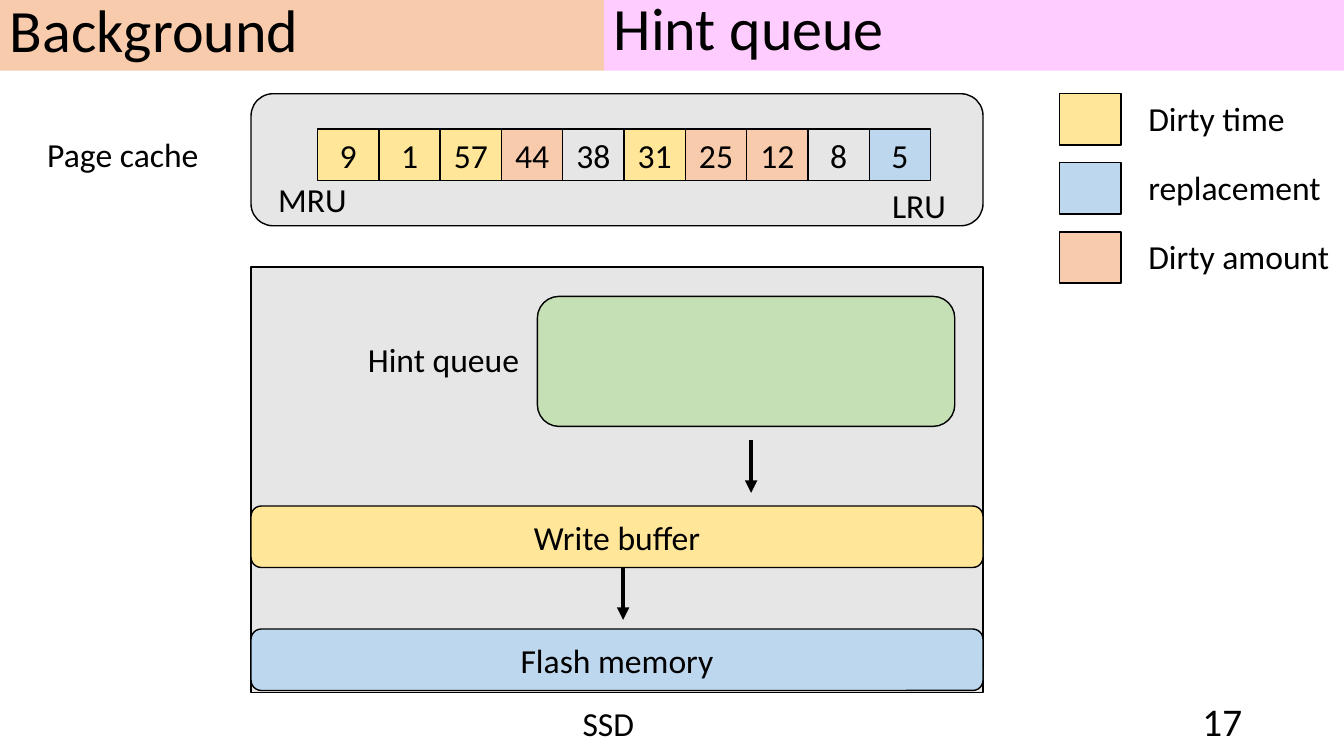
from lxml.etree import SubElement
from pptx import Presentation
from pptx.dml.color import RGBColor
from pptx.enum.shapes import MSO_CONNECTOR, MSO_SHAPE
from pptx.enum.text import MSO_ANCHOR, PP_ALIGN
from pptx.oxml.ns import qn
from pptx.util import Pt

PX = 9144
FONT = "Calibri"
COLORS = {
    "ink": "000000",
    "panel": "E7E6E6",
    "time": "FFE699",
    "replace": "BDD7EE",
    "amount": "F8CBAD",
    "queue": "C5E0B4",
    "title": "FFCCFF",
}
CACHE_PAGES = [
    ("9", "time"), ("1", "time"), ("57", "time"), ("44", "amount"), ("38", "panel"),
    ("31", "time"), ("25", "amount"), ("12", "amount"), ("8", "panel"), ("5", "replace"),
]
LEGEND = [("Dirty time", "time"), ("replacement", "replace"), ("Dirty amount", "amount")]


def color(name):
    """Return the palette colour with this name."""
    return RGBColor.from_string(COLORS[name])


def emu(*lengths):
    """Turn px lengths into EMU."""
    return [round(length * PX) for length in lengths]


def write(frame, text, size, align, anchor, spacing=None):
    """Put one formatted line of text into a text frame."""
    frame.word_wrap = True
    frame.vertical_anchor = anchor
    line = frame.paragraphs[0]
    line.alignment = align
    line.line_spacing = spacing
    run = line.add_run()
    run.text = text
    for name, value in {"size": Pt(size), "name": FONT}.items():
        setattr(run.font, name, value)
    run.font.color.rgb = color("ink")


def block(slide, box, fill, text="", kind=MSO_SHAPE.RECTANGLE, outlined=True):
    """Draw a filled shape with an optional outline and centred text."""
    shape = slide.shapes.add_shape(kind, *emu(*box))
    shape.shadow.inherit = False
    shape.fill.solid()
    shape.fill.fore_color.rgb = color(fill)
    if outlined:
        shape.line.color.rgb = color("ink")
        shape.line.width = Pt(1)
    else:
        shape.line.fill.background()
    if text:
        write(shape.text_frame, text, 24, PP_ALIGN.CENTER, MSO_ANCHOR.MIDDLE)
    return shape


def label(slide, box, text, size=24, align=PP_ALIGN.LEFT, anchor=MSO_ANCHOR.TOP):
    """Write a free-standing label."""
    frame = slide.shapes.add_textbox(*emu(*box)).text_frame
    frame.margin_right = 0
    write(frame, text, size, align, anchor)


def down_arrow(slide, x, y, length):
    """Draw a thick arrow pointing down."""
    arrow = slide.shapes.add_connector(MSO_CONNECTOR.STRAIGHT, *emu(x, y, x, y + length))
    arrow.line.color.rgb = color("ink")
    arrow.line.width = Pt(3)
    SubElement(arrow.line._get_or_add_ln(), qn("a:tailEnd"), type="triangle")
    SubElement(arrow._element.spPr, qn("a:effectLst"))


def header(slide, left, top, width, height):
    """Draw the section band and the title band."""
    split = left + 599
    bands = [
        ("Background", "amount", left, split, MSO_ANCHOR.MIDDLE),
        ("Hint queue", "title", split, left + width, MSO_ANCHOR.TOP),
    ]
    for text, fill, start, end, anchor in bands:
        band = block(slide, (start, top, end - start, height), fill, outlined=False)
        write(band.text_frame, text, 42.9, PP_ALIGN.LEFT, anchor, 0.8)


def page_cache(slide, left, top, width, height):
    """Draw the page cache with its row of pages from MRU to LRU."""
    block(slide, (left, top, width, height), "panel", kind=MSO_SHAPE.ROUNDED_RECTANGLE)
    label(slide, (left - 212, top + 35, 185, 51), "Page cache")
    pitch = 608 / len(CACHE_PAGES)
    for i, (number, fill) in enumerate(CACHE_PAGES):
        block(slide, (left + 66 + i * pitch, top + 35, pitch, 51), fill, number)
    label(slide, (left + 17, top + 80, 108, 50), "MRU")
    label(slide, (left + 626, top + 86, 108, 50), "LRU")


def ssd(slide, left, top, width, height):
    """Draw the SSD with its hint queue, write buffer and flash memory."""
    rounded = MSO_SHAPE.ROUNDED_RECTANGLE
    block(slide, (left, top, width, height), "panel")
    block(slide, (left + 284, top + 29, 414, 129), "queue", kind=rounded)
    label(slide, (left + 106, top + 66, 185, 51), "Hint queue")
    block(slide, (left, top + 237, width, 61), "time", "Write buffer", rounded)
    block(slide, (left, top + 359, width, 61), "replace", "Flash memory", rounded)
    down_arrow(slide, left + 496, top + 172, 52)
    down_arrow(slide, left + 369, top + 298, 52)
    label(slide, (left + 319, top + height + 5, 84, 50), "SSD")


def legend(slide, left, top, width, height):
    """Draw the colour key, one row for each kind of page."""
    swatch = 51
    pitch = (height - swatch) / (len(LEGEND) - 1)
    for i, (text, fill) in enumerate(LEGEND):
        y = top + i * pitch
        block(slide, (left, y, 61, swatch), fill)
        label(slide, (left + 78, y - 1, width - 78, 50), text)


def main():
    """Build and save the slide."""
    deck = Presentation()
    deck.slide_width, deck.slide_height = emu(1333, 750)
    slide = deck.slides.add_slide(deck.slide_layouts[6])
    header(slide, 0, -1, 1333, 71)
    page_cache(slide, 249, 93, 726, 131)
    ssd(slide, 249, 265, 726, 422)
    legend(slide, 1051, 93, 280, 188)
    label(slide, (942, 695, 290, 40), "17", 28, PP_ALIGN.RIGHT, MSO_ANCHOR.MIDDLE)
    deck.save("out.pptx")


if __name__ == "__main__":
    main()
